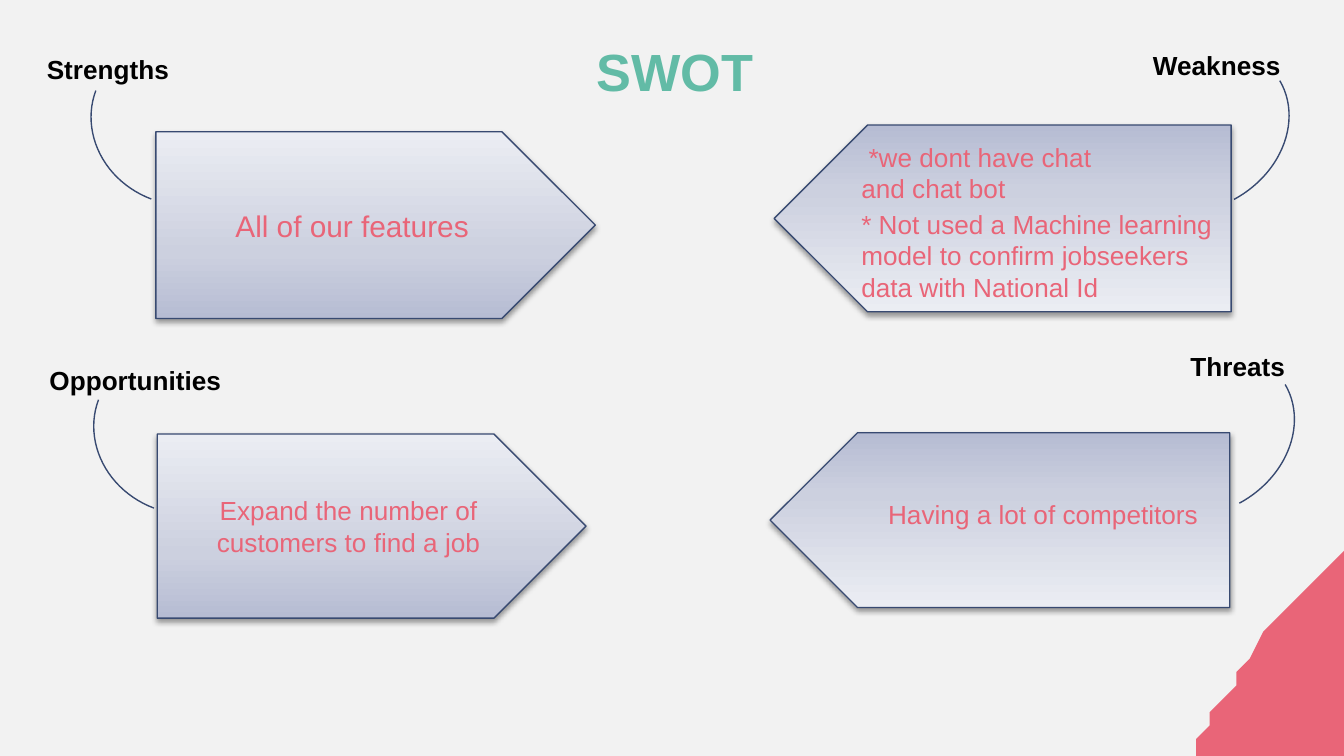
"""Builds a SWOT slide with four labelled arrow panels."""
from lxml import etree
from pptx import Presentation
from pptx.dml.color import RGBColor
from pptx.enum.shapes import MSO_SHAPE
from pptx.enum.text import MSO_ANCHOR, PP_ALIGN
from pptx.oxml import parse_xml
from pptx.oxml.ns import nsdecls, qn
from pptx.util import Inches, Pt

PENTAGON, ARC = MSO_SHAPE.PENTAGON, MSO_SHAPE.ARC
TOP, MIDDLE = MSO_ANCHOR.TOP, MSO_ANCHOR.MIDDLE
LEFT, CENTER = PP_ALIGN.LEFT, PP_ALIGN.CENTER

BACKGROUND = RGBColor(0xF2, 0xF2, 0xF2)
BLACK = RGBColor(0, 0, 0)
NAVY = RGBColor(0x38, 0x4A, 0x71)
GREEN = RGBColor(0x62, 0xBB, 0xA6)
CORAL = RGBColor(0xE9, 0x65, 0x78)
PANEL_STOPS = [
    (0, RGBColor(0xB6, 0xBC, 0xD3)),
    (35, RGBColor(0xCC, 0xD0, 0xDF)),
    (100, RGBColor(0xEB, 0xED, 0xF3)),
]

CELL = Inches(0.1)
COLUMNS, ROWS = 100, 56.25
FONT = "Arial"

PANELS = [
    ((11.6, 9.8, 32.7, 13.9), 0, "All of our features", 16),
    ((11.7, 32.3, 31.9, 13.7), 0,
     "Expand the number of customers to find a job", 14),
    ((57.6, 9.3, 34, 13.9), 180, "", 14),
    ((57.3, 32.2, 34.2, 13), 180, "", 14),
]
NOTES = [
    ((63.1, 10, 20.9, 5.7), " *we dont have chat and chat bot"),
    ((63.1, 15, 29.2, 8.1), "* Not used a Machine learning model "
     "to confirm jobseekers data with National Id"),
    ((65.1, 36.6, 26.7, 3.4), "Having a lot of competitors"),
]
LABELS = [
    ((2.5, 3.5, 18, 3.4), "Strengths"),
    ((2.7, 26.6, 18, 3.4), "Opportunities"),
    ((84.8, 3.2, 12.4, 3.4), "Weakness"),
    ((87.6, 25.6, 12.4, 3.4), "Threats"),
]
LEFT_ARCS = [(6.7, 3), (6.9, 26)]
RIGHT_ARCS = [(83.2, 2.5), (83.6, 25.1)]
CORNER_START = (105, 37.4)
CORNER_CURVES = [
    ((108.4, 37.7), (111.6, 56.3), (108.9, 59.8)),
    ((106.1, 63.2), (89.1, 61.8), (88.4, 58.1)),
    ((87.8, 54.4), (101.6, 37.2), CORNER_START),
]


def cells(*counts):
    """Turn grid counts into lengths."""
    return [round(count * CELL) for count in counts]


def write(shape, text, size=14, color=CORAL, bold=False, align=LEFT, anchor=TOP):
    """Put formatted text into a shape."""
    frame = shape.text_frame
    frame.word_wrap = True
    frame.vertical_anchor = anchor
    paragraph = frame.paragraphs[0]
    paragraph.alignment = align
    run = paragraph.add_run()
    run.text = text
    font = run.font
    font.name, font.size, font.bold = FONT, Pt(size), bold
    font.color.rgb = color


def add_text(slide, box, text, **style):
    """Add a text box on the grid."""
    write(slide.shapes.add_textbox(*cells(*box)), text, **style)


def add_outlined(slide, kind, box, rotation):
    """Add an unfilled preset shape with a thin navy line."""
    shape = slide.shapes.add_shape(kind, *cells(*box))
    shape.rotation = rotation
    shape.shadow.inherit = False
    shape.fill.background()
    shape.line.color.rgb = NAVY
    shape.line.width = Pt(0.75)
    return shape


def add_panel(slide, box, rotation, text, size):
    """Add an arrow panel with a gradient and a soft shadow."""
    panel = add_outlined(slide, PENTAGON, box, rotation)
    stops = "".join(
        f'<a:gs pos="{share * 1000}"><a:srgbClr val="{color}"/></a:gs>'
        for share, color in PANEL_STOPS)
    properties = panel.element.spPr
    properties.replace(properties.find(qn("a:noFill")), parse_xml(
        f'<a:gradFill {nsdecls("a")} rotWithShape="1"><a:gsLst>{stops}</a:gsLst>'
        '<a:lin ang="16200000" scaled="0"/></a:gradFill>'))
    shadow = etree.SubElement(
        properties.find(qn("a:effectLst")), qn("a:outerShdw"),
        blurRad=str(Pt(3.1)), dist=str(Pt(1.6)), dir="5400000", rotWithShape="0")
    tint = etree.SubElement(shadow, qn("a:srgbClr"), val="000000")
    etree.SubElement(tint, qn("a:alpha"), val="38000")
    if text:
        write(panel, text, size=size, align=CENTER, anchor=MIDDLE)


def curve_points(start, first, second, end, steps=24):
    """Sample a cubic curve, leaving out its start."""
    points = []
    for step in range(1, steps + 1):
        t = step / steps
        weights = ((1 - t) ** 3, 3 * t * (1 - t) ** 2, 3 * t ** 2 * (1 - t), t ** 3)
        points.append(tuple(
            sum(weight * value for weight, value in zip(weights, axis))
            for axis in zip(start, first, second, end)))
    return points


def add_corner(slide):
    """Add the coral blob at the lower right corner."""
    points, start = [], CORNER_START
    for curve in CORNER_CURVES:
        points += curve_points(start, *curve)
        start = curve[-1]
    builder = slide.shapes.build_freeform(*CORNER_START, scale=CELL)
    builder.add_line_segments(points, close=True)
    corner = builder.convert_to_shape()
    corner.shadow.inherit = False
    corner.fill.solid()
    corner.fill.fore_color.rgb = CORAL
    corner.line.fill.background()


def add_title(slide, box, text):
    """Move and fill the title placeholder."""
    title = slide.shapes.title
    title.left, title.top, title.width, title.height = cells(*box)
    write(title, text, size=28, color=GREEN, bold=True)


def main():
    """Build and save the slide."""
    deck = Presentation()
    deck.slide_width, deck.slide_height = cells(COLUMNS, ROWS)
    slide = deck.slides.add_slide(deck.slide_layouts[5])
    slide.background.fill.solid()
    slide.background.fill.fore_color.rgb = BACKGROUND

    add_title(slide, (43.4, 2.4, 27.6, 5.7), "SWOT")
    for panel in PANELS:
        add_panel(slide, *panel)
    for box, text in NOTES:
        add_text(slide, box, text)
    for box, text in LABELS:
        add_text(slide, box, text, color=BLACK, bold=True)
    for corner in LEFT_ARCS:
        add_outlined(slide, ARC, (*corner, 13.4, 12.2), 200.6)
    for corner in RIGHT_ARCS:
        arc = add_outlined(slide, ARC, (*corner, 11.8, 14.2), 59.6)
        arc.adjustments[0], arc.adjustments[1] = 162, 1.81
    add_corner(slide)
    deck.save("out.pptx")


if __name__ == "__main__":
    main()
